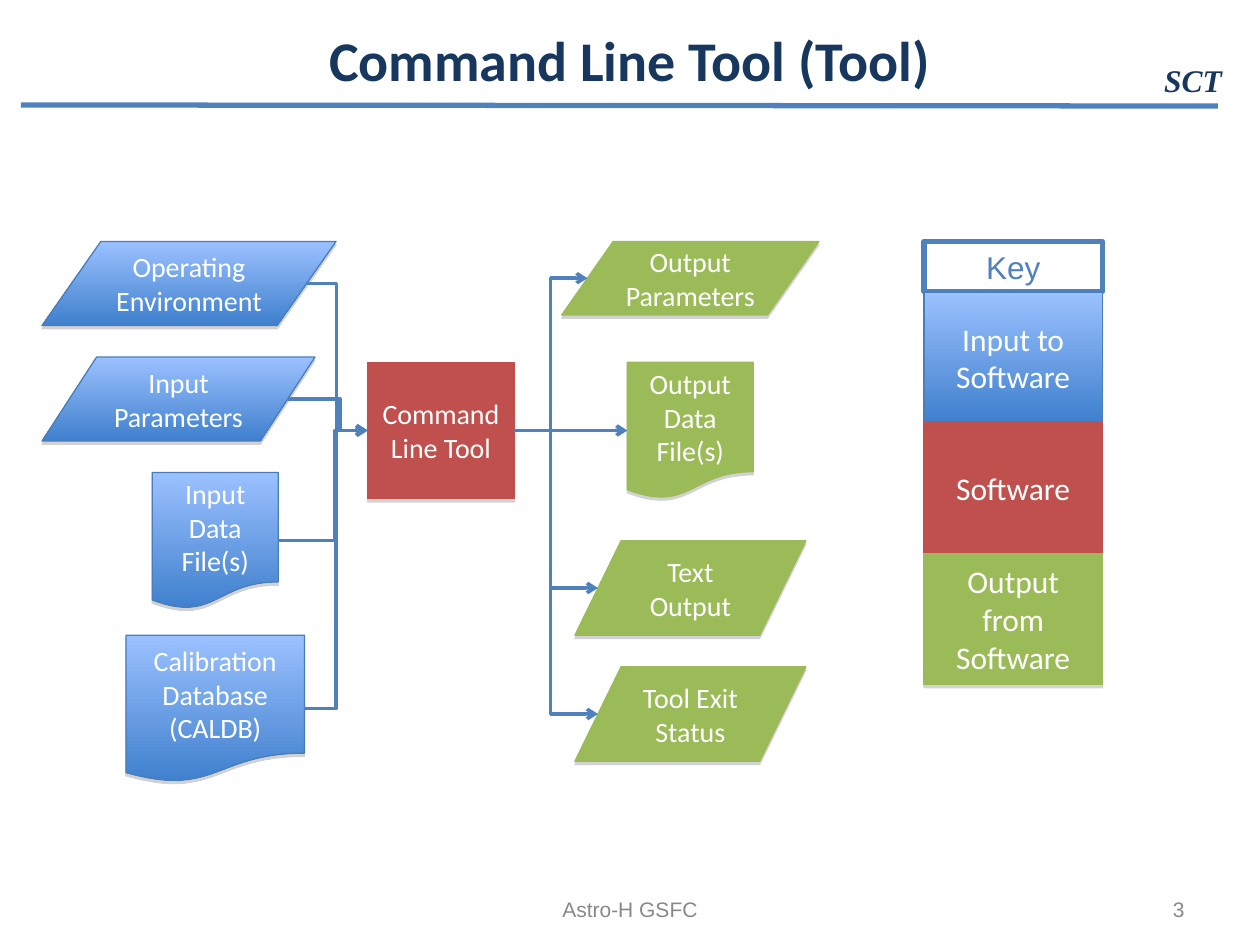
from collections import namedtuple

from lxml import etree
from pptx import Presentation
from pptx.dml.color import RGBColor
from pptx.enum.shapes import MSO_CONNECTOR, MSO_SHAPE
from pptx.enum.text import MSO_ANCHOR, PP_ALIGN
from pptx.oxml.ns import qn
from pptx.util import Inches, Pt

LEFT, CENTER, RIGHT = PP_ALIGN.LEFT, PP_ALIGN.CENTER, PP_ALIGN.RIGHT
TOP, MIDDLE = MSO_ANCHOR.TOP, MSO_ANCHOR.MIDDLE
RECTANGLE = MSO_SHAPE.RECTANGLE
PROCESS = MSO_SHAPE.FLOWCHART_PROCESS
DOCUMENT = MSO_SHAPE.FLOWCHART_DOCUMENT
DATA = MSO_SHAPE.FLOWCHART_DATA
STRAIGHT, ELBOW = MSO_CONNECTOR.STRAIGHT, MSO_CONNECTOR.ELBOW

Box = namedtuple("Box", "left top width height")
WIDTH, HEIGHT = 10, 7.5
COLUMNS, ROWS = 240, 180
BLUE, NAVY, GRAY, WHITE = "4F81BD", "17375E", "898989", "FFFFFF"
INPUT = (("9BC1FF", "3F80CD"), "4A7EBB")
SOFTWARE = (("C0504D",), "C0504D")
OUTPUT = (("9BBB59",), "9BBB59")


def color(value):
    return RGBColor.from_string(value)


def across(columns):
    return Inches(columns * WIDTH / COLUMNS)


def down(rows):
    return Inches(rows * HEIGHT / ROWS)


def measure(box):
    return across(box.left), down(box.top), across(box.width), down(box.height)


def within(region, left, top, width, height):
    return Box(region.left + left, region.top + top, width, height)


def write(shape, text, size=16, font="Calibri", ink=WHITE, bold=False,
          italic=False, align=CENTER, anchor=MIDDLE, wrap=True):
    frame = shape.text_frame
    frame.word_wrap = wrap
    frame.vertical_anchor = anchor
    para = frame.paragraphs[0]
    para.alignment = align
    span = para.add_run()
    span.text = text
    span.font.size = Pt(size)
    span.font.name = font
    span.font.bold = bold
    span.font.italic = italic
    span.font.color.rgb = color(ink)


def add_label(page, box, text, **style):
    write(page.shapes.add_textbox(*measure(box)), text, **style)


def add_shadow(shape):
    effects = shape._element.spPr.find(qn("a:effectLst"))
    shadow = etree.SubElement(effects, qn("a:outerShdw"), blurRad="0",
                              dist=str(Pt(1.8)), dir="5400000", rotWithShape="0")
    shade = etree.SubElement(shadow, qn("a:srgbClr"), val="808080")
    etree.SubElement(shade, qn("a:alpha"), val="35000")


def add_block(page, box, kind, text, role, size=16):
    fills, edge = role
    shape = page.shapes.add_shape(kind, *measure(box))
    shape.shadow.inherit = False
    if len(fills) > 1:
        shape.fill.gradient()
        shape.fill.gradient_angle = 270
        for stop, fill, position in zip(shape.fill.gradient_stops, fills, (0, 1)):
            stop.color.rgb = color(fill)
            stop.position = position
    else:
        shape.fill.solid()
        shape.fill.fore_color.rgb = color(fills[0])
    shape.line.color.rgb = color(edge)
    shape.line.width = Pt(0.75)
    add_shadow(shape)
    write(shape, text, size=size)


def add_line(page, start, end, width, bend=None, arrow=False):
    kind = STRAIGHT if bend is None else ELBOW
    line = page.shapes.add_connector(kind, across(start[0]), down(start[1]),
                                     across(end[0]), down(end[1]))
    line.line.color.rgb = color(BLUE)
    line.line.width = Pt(width)
    properties = line._element.spPr
    if bend is not None:
        share = (bend - start[0]) / (end[0] - start[0])
        guides = properties.find(qn("a:prstGeom")).get_or_add_avLst()
        etree.SubElement(guides, qn("a:gd"), name="adj1",
                         fmla=f"val {round(share * 100000)}")
    if arrow:
        etree.SubElement(line.line._get_or_add_ln(), qn("a:tailEnd"), type="arrow")
    etree.SubElement(properties, qn("a:effectLst"))


def draw_header(page, box):
    rule = box.top + box.height
    add_line(page, (box.left, rule), (box.left + box.width, rule + 0.2), 3)
    add_label(page, within(box, 215.4, -9.6, 15.8, 9.6), "SCT", size=18,
              font="Times New Roman", ink=NAVY, bold=True, italic=True,
              align=LEFT, anchor=TOP, wrap=False)
    add_label(page, within(box, 8, -18, 216, 18.7), "Command Line Tool (Tool)",
              size=32, ink=NAVY, bold=True)


def draw_footer(page, box):
    style = {"size": 12, "font": "Arial", "ink": GRAY}
    add_label(page, within(box, 70, 0, 76, box.height), "Astro-H GSFC", **style)
    add_label(page, within(box, 160, 0, 56, box.height), "3", align=RIGHT, **style)


def draw_key(page, box):
    heading = 9.6
    row = (box.height - heading) / 3
    title = page.shapes.add_shape(
        RECTANGLE, *measure(within(box, 0, 0, box.width, heading)))
    title.shadow.inherit = False
    title.fill.background()
    title.line.color.rgb = color(BLUE)
    title.line.width = Pt(3)
    write(title, "Key", size=18, font="Arial", ink=BLUE)
    entries = (("Input to Software", INPUT), ("Software", SOFTWARE),
               ("Output from Software", OUTPUT))
    for index, (text, role) in enumerate(entries):
        place = within(box, 0, heading + index * row, box.width, row)
        add_block(page, place, RECTANGLE, text, role, size=18)


def draw_flow(page, box):
    tool = within(box, 62, 23, 28, 26)
    middle = tool.top + tool.height / 2
    entry, leave = (tool.left, middle), (tool.left + tool.width, middle)
    inputs = (
        ("Operating Environment", DATA, (0, 0, 56, 16), 56.1),
        ("Input Parameters", DATA, (0, 22, 52, 16), 56.8),
        ("Input Data File(s)", DOCUMENT, (21, 44, 24, 26), 55.8),
        ("Calibration Database (CALDB)", DOCUMENT, (16, 75, 34, 28), 56),
    )
    outputs = (
        ("Output Parameters", DATA, (99, 0, 49, 14), 96.9),
        ("Output Data File(s)", DOCUMENT, (111.5, 23, 24, 26), None),
        ("Text Output", DATA, (101.5, 57, 44, 18), 96.9),
        ("Tool Exit Status", DATA, (101.5, 81, 44, 18), 96.9),
    )
    add_block(page, tool, PROCESS, "Command Line Tool", SOFTWARE)
    for role, parts in ((INPUT, inputs), (OUTPUT, outputs)):
        for text, kind, area, bend in parts:
            place = within(box, *area)
            add_block(page, place, kind, text, role)
            slant = 0.1 * place.width if kind == DATA else 0
            level = place.top + place.height / 2
            if role is INPUT:
                start, end = (place.left + place.width - slant, level), entry
            else:
                start, end = leave, (place.left + slant, level)
            turn = None if bend is None else box.left + bend
            add_line(page, start, end, 2, bend=turn, arrow=True)


def main():
    deck = Presentation()
    deck.slide_width, deck.slide_height = Inches(WIDTH), Inches(HEIGHT)
    page = deck.slides.add_slide(deck.slide_layouts[6])
    draw_header(page, Box(4, 20, 228, 0))
    draw_footer(page, Box(12, 170, 216, 6.4))
    draw_key(page, Box(176, 46, 34, 84.4))
    draw_flow(page, Box(8, 46, 148, 103))
    deck.save("out.pptx")


if __name__ == "__main__":
    main()
